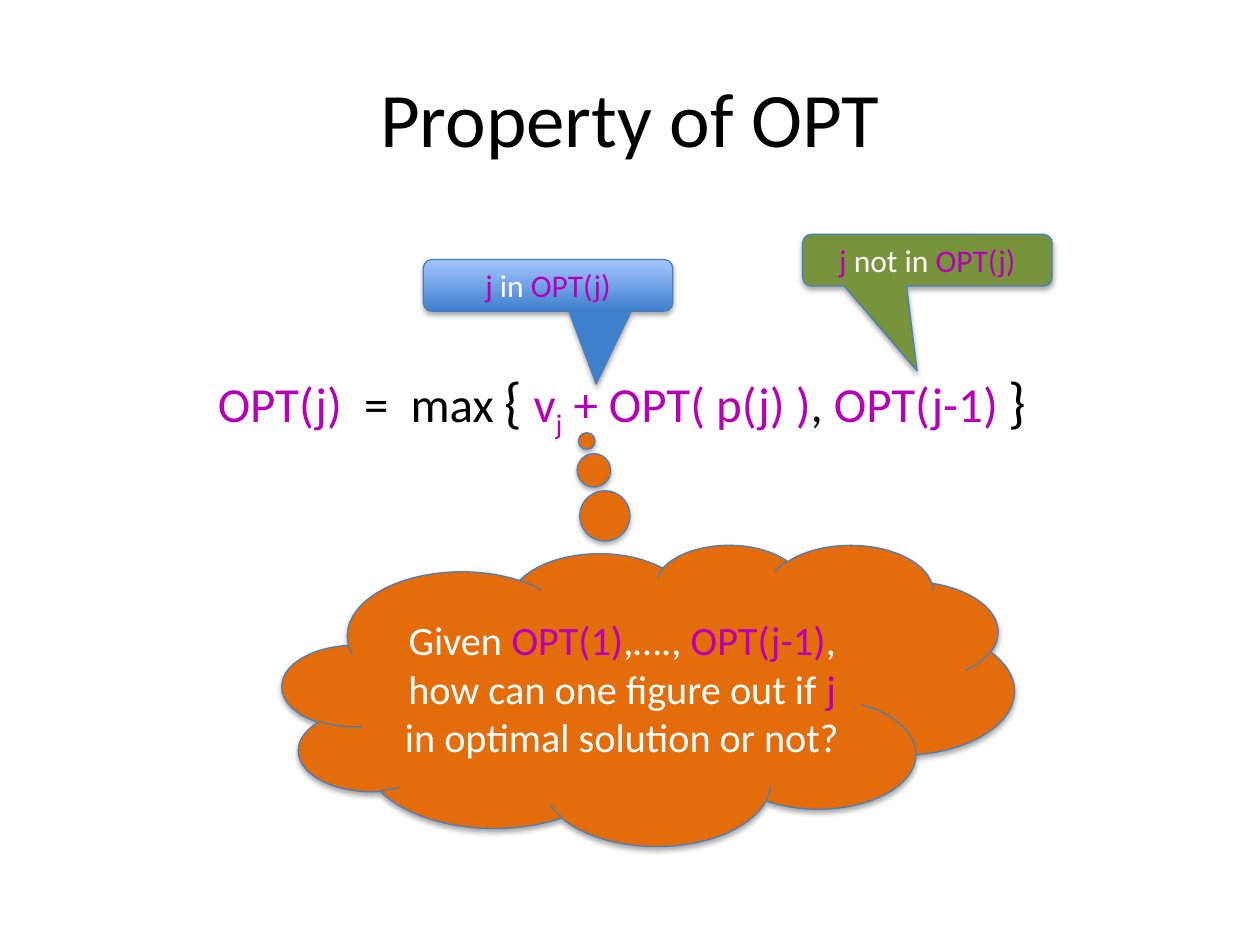
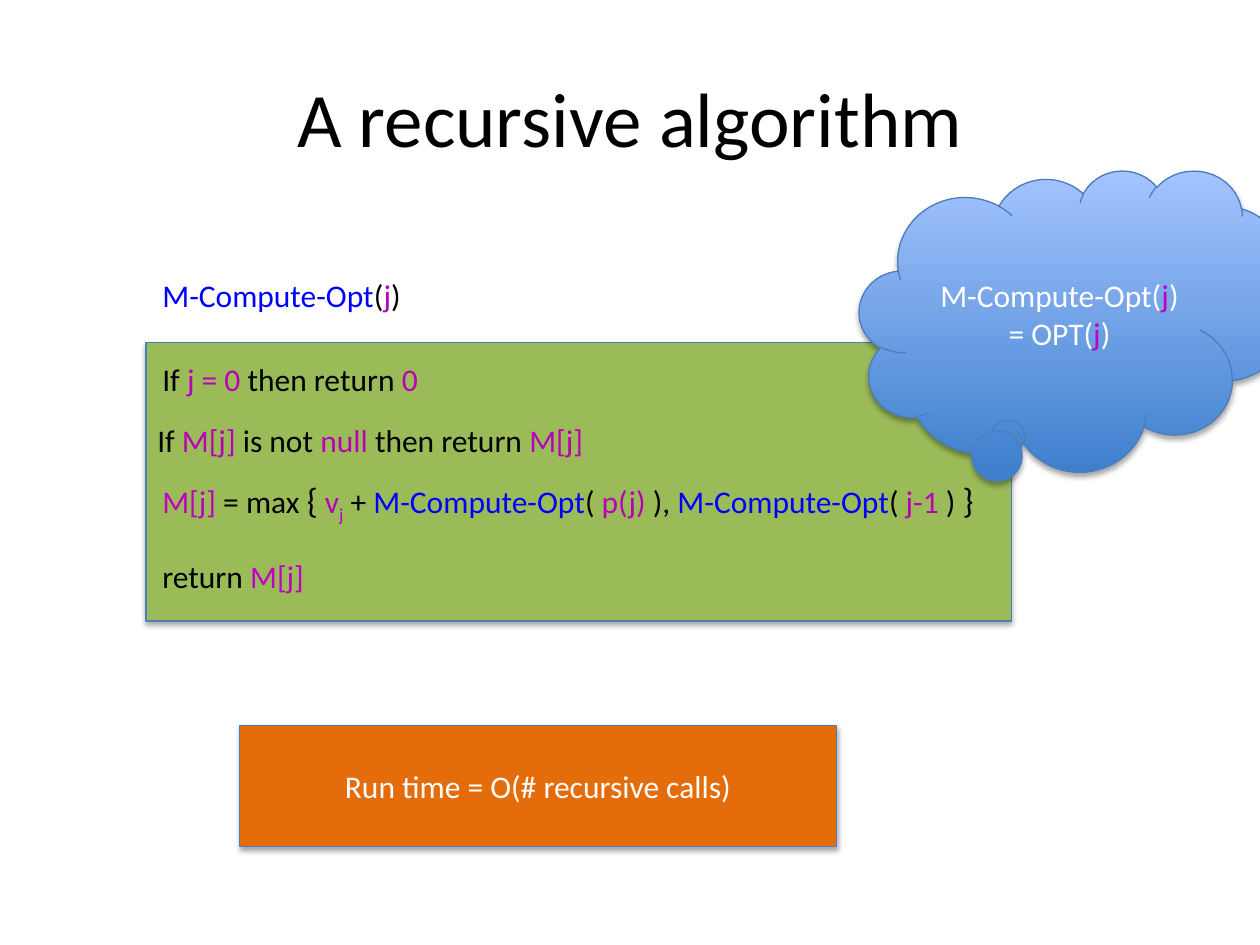
from lxml.etree import SubElement
from pptx import Presentation
from pptx.dml.color import RGBColor
from pptx.enum.shapes import MSO_SHAPE
from pptx.enum.text import MSO_ANCHOR, MSO_AUTO_SIZE, PP_ALIGN
from pptx.oxml.ns import qn
from pptx.util import Inches, Pt

BLACK, WHITE = "000000", "FFFFFF"
PURPLE, VIOLET, BLUE = "B700B7", "C000C0", "0000FF"
ORANGE, OLIVE, GREEN = "E46C0A", "77933C", "9BBB59"
OUTLINE = "4B7EBC"
BLUE_GRADIENT = ("3F80CE", "A4C4FF")
SUBSCRIPT = "-25000"


def rgb(value):
    return RGBColor.from_string(value)


class Deck:
    font = "Calibri"
    title_size = 44
    code_size = 18
    frame = {"vertical_anchor": MSO_ANCHOR.MIDDLE, "word_wrap": True}
    label = {"word_wrap": False, "auto_size": MSO_AUTO_SIZE.SHAPE_TO_FIT_TEXT}
    shadow = {"blurRad": "40000", "dist": "23000", "dir": "5400000", "rotWithShape": "0"}

    def __init__(self):
        self.prs = Presentation()
        self.prs.slide_width, self.prs.slide_height = Inches(10), Inches(7.5)
        self.s = None

    def slide(self, title):
        self.s = self.prs.slides.add_slide(self.prs.slide_layouts[5])
        sp = self.s.shapes.title
        sp.left, sp.top, sp.width, sp.height = map(Inches, (0.5, 0.3, 9, 1.25))
        self.add_runs(sp, [(title, BLACK)], self.title_size, self.frame, PP_ALIGN.CENTER)

    def add_runs(self, sp, runs, size, frame, align):
        tf = sp.text_frame
        for name, value in frame.items():
            setattr(tf, name, value)
        p = tf.paragraphs[0]
        p.alignment = align
        for text, colour, *special in runs:
            r = p.add_run()
            r.text = text
            style = {"name": self.font, "size": Pt(size)}
            if special and special[0] != SUBSCRIPT:
                style["size"] = Pt(special[0])
            for name, value in style.items():
                setattr(r.font, name, value)
            r.font.color.rgb = rgb(colour)
            if SUBSCRIPT in special:
                r._r.get_or_add_rPr().set("baseline", SUBSCRIPT)

    def text(self, box, runs, size=code_size):
        sp = self.s.shapes.add_textbox(*map(Inches, box))
        self.add_runs(sp, runs, size, self.label, PP_ALIGN.LEFT)

    def shape(self, kind, box, fill, runs=(), size=code_size, adjust=()):
        sp = self.s.shapes.add_shape(kind, *map(Inches, box))
        for i, value in enumerate(adjust):
            sp.adjustments[i] = value
        if isinstance(fill, tuple):
            sp.fill.gradient()
            sp.fill.gradient_angle = 90
            for stop, colour in zip(sp.fill.gradient_stops, fill):
                stop.color.rgb = rgb(colour)
        else:
            sp.fill.solid()
            sp.fill.fore_color.rgb = rgb(fill)
        sp.line.color.rgb = rgb(OUTLINE)
        sp.line.width = Pt(0.75)
        self.add_shadow(sp)
        self.add_runs(sp, runs, size, self.frame, PP_ALIGN.CENTER)

    def add_shadow(self, sp):
        sp.shadow.inherit = False
        effects = sp._element.spPr.find(qn("a:effectLst"))
        outer = SubElement(effects, qn("a:outerShdw"), self.shadow)
        colour = SubElement(outer, qn("a:srgbClr"), val=BLACK)
        SubElement(colour, qn("a:alpha"), val="35000")


def property_slide(deck):
    deck.slide("Property of OPT")
    deck.text((1.63, 2.86, 6.72, 0.64), [
        ("OPT(j)  ", PURPLE), ("=  max ", BLACK), ("{", BLACK, 32), (" ", BLACK),
        ("v", PURPLE), ("j", PURPLE, SUBSCRIPT), (" + OPT( p(j) )", PURPLE),
        (", ", BLACK), ("OPT(j-1) ", PURPLE), ("}", BLACK, 32)], 28)
    callouts = [
        (3.36, 2.06, BLUE_GRADIENT, " in ", (0.193, 1.911, 0.167)),
        (6.37, 1.86, OLIVE, " not in ", (-0.041, 2.145, 0.167)),
    ]
    for left, top, fill, relation, adjust in callouts:
        deck.shape(MSO_SHAPE.ROUNDED_RECTANGULAR_CALLOUT, (left, top, 1.98, 0.41), fill,
                   [("j", PURPLE), (relation, WHITE), ("OPT(j)", PURPLE)], adjust=adjust)
    deck.shape(MSO_SHAPE.CLOUD_CALLOUT, (2.24, 4.32, 5.81, 2.39), ORANGE, [
        ("Given ", WHITE), ("OPT(1)", PURPLE), (",…., ", WHITE), ("OPT(j-1)", PURPLE),
        (", how can one figure out if ", WHITE), ("j", PURPLE),
        (" in optimal solution or not?", WHITE)], 23, (-0.084, -0.843))


def algorithm_slide(deck):
    call = ("M-Compute-Opt", BLUE)
    deck.slide("A recursive algorithm")
    deck.text((1.19, 2.14, 2.12, 0.4),
              [call, ("(", BLACK), ("j", PURPLE), (")", BLACK)])
    deck.shape(MSO_SHAPE.RECTANGLE, (1.16, 2.72, 6.87, 2.21), GREEN)
    code_lines = [
        ((1.19, 2.81, 2.25, 0.4), [
            ("If ", BLACK), ("j = 0 ", PURPLE), ("then return ", BLACK), ("0", PURPLE)]),
        ((1.15, 3.29, 3.61, 0.4), [
            ("If ", BLACK), ("M[j] ", PURPLE), ("is not ", BLACK), ("null ", PURPLE),
            ("then return ", BLACK), ("M[j]", PURPLE)]),
        ((1.19, 3.75, 6.84, 0.44), [
            ("M[j] ", VIOLET), ("= max ", BLACK), ("{", BLACK, 20), (" ", BLACK),
            ("v", PURPLE), ("j", PURPLE, SUBSCRIPT), (" + ", BLACK), call, ("( ", BLACK),
            ("p(j)", PURPLE), (" ), ", BLACK), call, ("( ", BLACK), ("j-1", PURPLE),
            (" ) ", BLACK), ("}", BLACK, 20)]),
        ((1.19, 4.37, 1.34, 0.4), [("return ", BLACK), ("M[j]", VIOLET)]),
    ]
    for box, runs in code_lines:
        deck.text(box, runs)
    deck.shape(MSO_SHAPE.CLOUD_CALLOUT, (6.82, 1.35, 3.42, 2.39), BLUE_GRADIENT, [
        ("M-Compute-Opt(", WHITE), ("j", VIOLET), (") = OPT(", WHITE), ("j", VIOLET),
        (")", WHITE)], adjust=(-0.149, 0.371))
    deck.shape(MSO_SHAPE.RECTANGLE, (1.9, 5.76, 4.74, 0.96), ORANGE,
               [("Run time = O(# recursive calls)", WHITE)])


def main():
    deck = Deck()
    property_slide(deck)
    algorithm_slide(deck)
    deck.prs.save("out.pptx")


if __name__ == "__main__":
    main()
